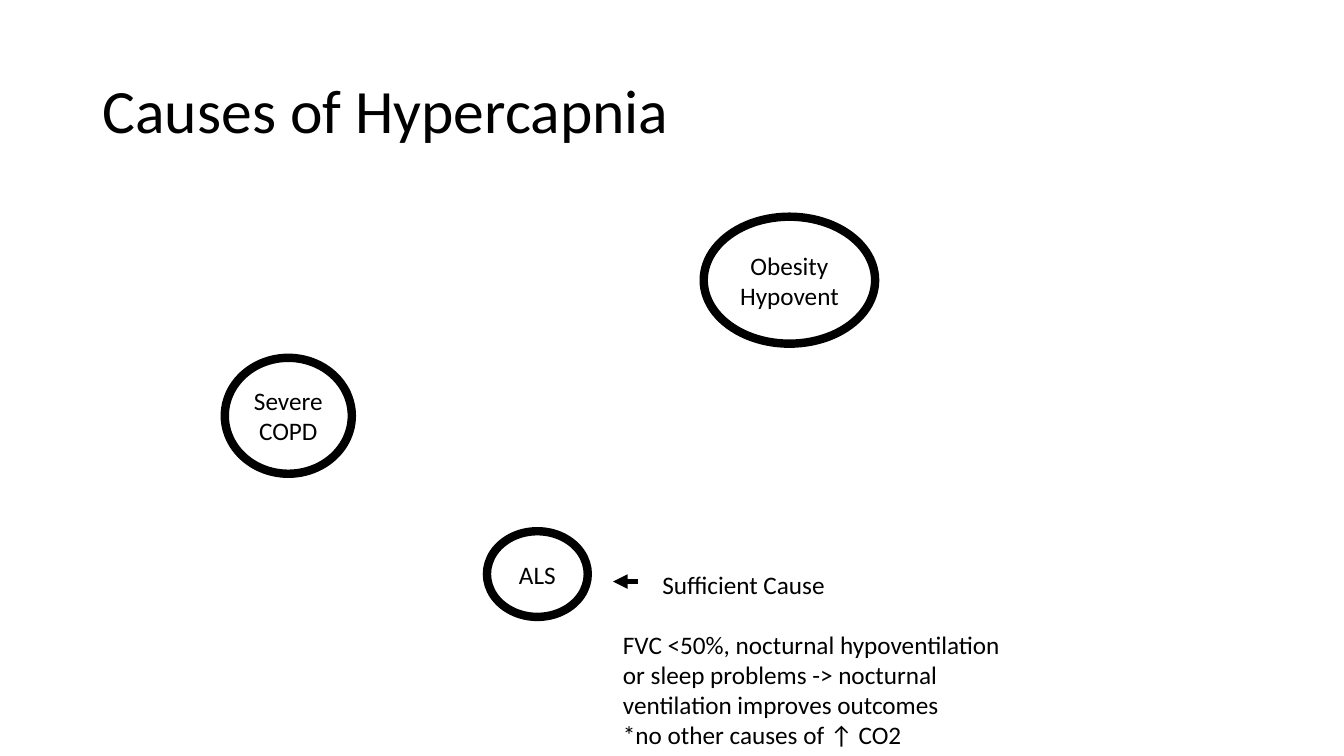
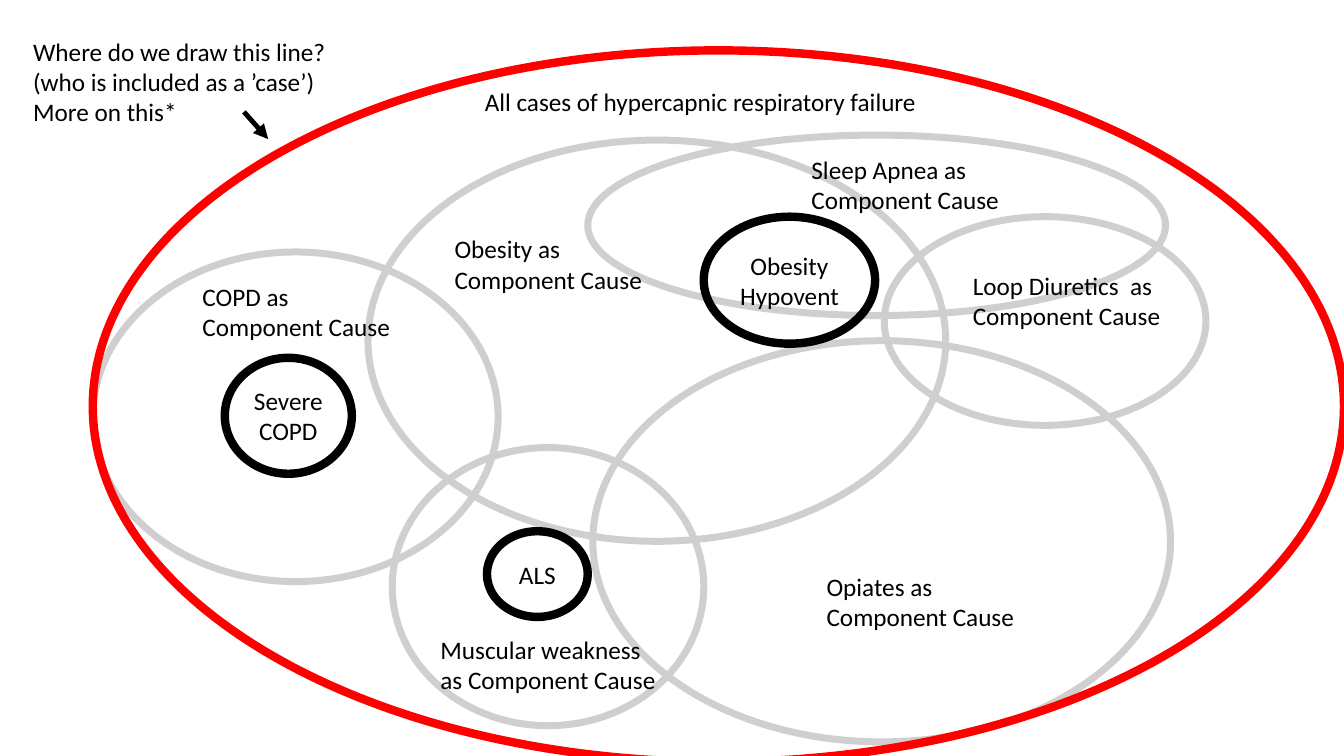
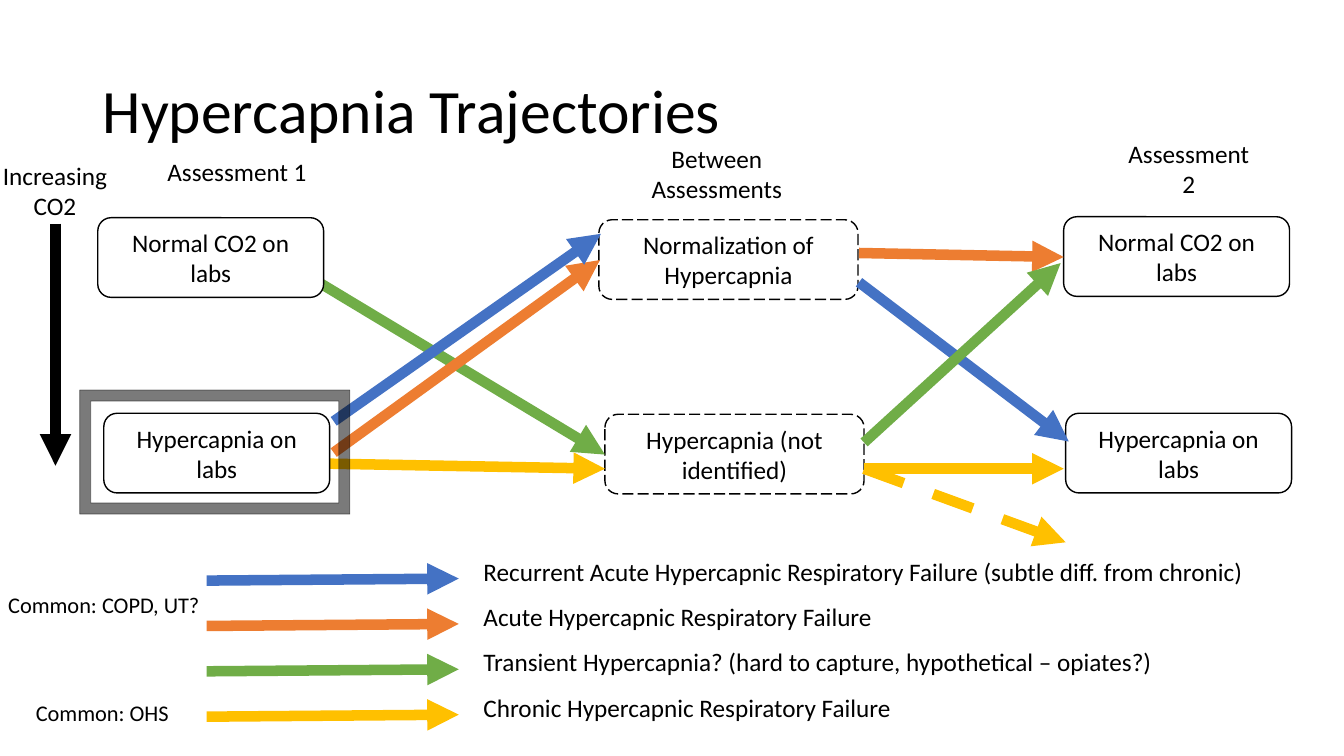
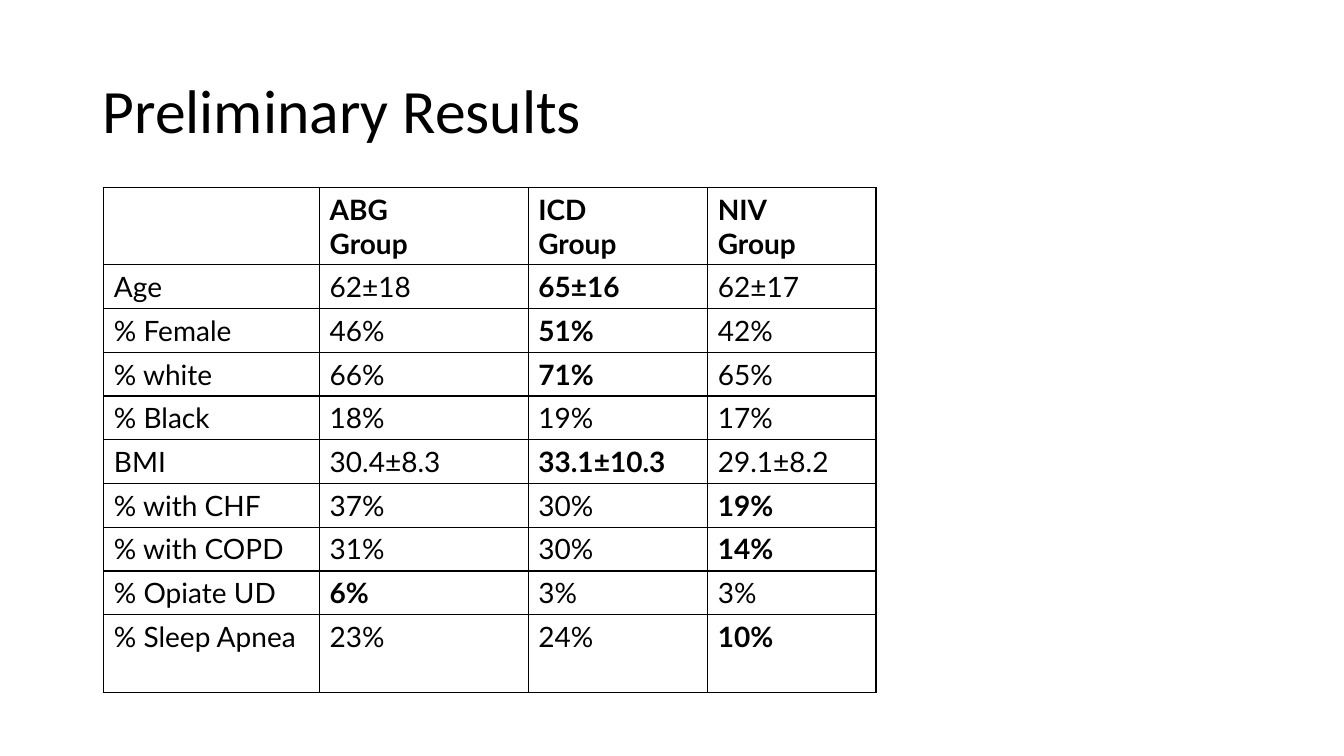
from dataclasses import dataclass

import pptx
import pptx.dml.color
import pptx.enum.dml
import pptx.enum.shapes
import pptx.enum.text
import pptx.oxml
import pptx.oxml.ns
import pptx.util
from pptx.util import Inches

SHAPE = pptx.enum.shapes.MSO_SHAPE
ALIGN = pptx.enum.text.PP_ALIGN
ANCHOR = pptx.enum.text.MSO_ANCHOR
DASH = pptx.enum.dml.MSO_LINE


@dataclass(frozen=True)
class Theme:
    ink: str = "000000"
    paper: str = "FFFFFF"
    component: str = "D0CECE"
    boundary: str = "FF0000"
    recurrent: str = "4472C4"
    acute: str = "ED7D31"
    transient: str = "70AD47"
    chronic: str = "FFC000"
    font: str = "Calibri"
    table_font: str = "Lato"
    title: int = 44
    body: int = 18
    small: int = 16
    table: int = 20
    pointer: float = 3.5
    trajectory: float = 7.5


THEME = Theme()


def rgb(color):
    return pptx.dml.color.RGBColor.from_string(color)


def write(frame, text, size=THEME.body, align=ALIGN.LEFT, spacing=None,
          font=THEME.font, bold=False):
    frame.text = text
    for paragraph in frame.paragraphs:
        paragraph.alignment = align
        if spacing:
            paragraph.line_spacing = spacing
        for run in paragraph.runs:
            run.font.name = font
            run.font.size = pptx.util.Pt(size)
            run.font.bold = bold
            run.font.color.rgb = rgb(THEME.ink)


def set_alpha(color_format_parent, percent):
    color = color_format_parent.find(".//" + pptx.oxml.ns.qn("a:srgbClr"))
    color.append(pptx.oxml.parse_xml(
        f'<a:alpha {pptx.oxml.ns.nsdecls("a")} val="{percent * 1000}"/>'))


class Region:
    """Part of a slide; everything is placed from its top left corner."""

    def __init__(self, slide, left=0, top=0):
        self.shapes, self.left, self.top = slide.shapes, left, top

    def point(self, x, y):
        return Inches(self.left + x), Inches(self.top + y)

    def shape(self, kind, box, text="", fill=None, line=None, width=1, dash=None,
              align=ALIGN.CENTER, spacing=None):
        x, y, w, h = box
        shape = self.shapes.add_shape(kind, *self.point(x, y), Inches(w), Inches(h))
        shape.shadow.inherit = False
        if fill:
            shape.fill.solid()
            shape.fill.fore_color.rgb = rgb(fill)
        else:
            shape.fill.background()
        if line:
            shape.line.color.rgb = rgb(line)
            shape.line.width = pptx.util.Pt(width)
            if dash:
                shape.line.dash_style = dash
        else:
            shape.line.fill.background()
        if text:
            shape.text_frame.vertical_anchor = ANCHOR.MIDDLE
            write(shape.text_frame, text, align=align, spacing=spacing)
        return shape

    def label(self, box, text, anchor=ANCHOR.TOP, **style):
        x, y, w, h = box
        frame = self.shapes.add_textbox(*self.point(x, y), Inches(w), Inches(h)).text_frame
        frame.word_wrap = True
        frame.vertical_anchor = anchor
        write(frame, text, **style)

    def arrow(self, start, end, color, width=THEME.trajectory, dash=None):
        arrow = self.shapes.add_connector(
            pptx.enum.shapes.MSO_CONNECTOR.STRAIGHT, *self.point(*start), *self.point(*end))
        arrow.line.color.rgb = rgb(color)
        arrow.line.width = pptx.util.Pt(width)
        if dash:
            arrow.line.dash_style = dash
        ns = pptx.oxml.ns.nsdecls("a")
        arrow.line._get_or_add_ln().append(
            pptx.oxml.parse_xml(f'<a:tailEnd {ns} type="triangle"/>'))
        arrow._element.spPr.append(pptx.oxml.parse_xml(f"<a:effectLst {ns}/>"))


def add_title(slide, text):
    Region(slide, 0.92, 0.4).label((0, 0, 11.5, 1.45), text, ANCHOR.MIDDLE,
                                   size=THEME.title, spacing=0.9)


def add_sufficient_causes(slide, left, top):
    region = Region(slide, left, top)
    for cause, box in (("Severe COPD", (0, 1.4, 1.26, 1.15)),
                       ("Obesity Hypovent", (4.75, 0, 1.7, 1.26)),
                       ("ALS", (2.6, 3.12, 1, 0.85))):
        region.shape(SHAPE.OVAL, box, cause, line=THEME.ink, width=6)


def add_als_note(slide, left, top):
    region = Region(slide, left, top)
    region.label((0.39, 0, 2.21, 0.4), "Sufficient Cause")
    region.arrow((0.25, 0.17), (0, 0.17), THEME.ink, THEME.pointer)
    region.label((0, 0.59, 4.09, 1.62),
                 "FVC <50%, nocturnal hypoventilation or sleep problems -> nocturnal "
                 "ventilation improves outcomes\n*no other causes of ↑️ CO2")


def add_component_rings(slide, left, top):
    region = Region(slide, left, top)
    for box in ((4.91, 0.84, 5.73, 1.79),   # sleep apnea
                (4.96, 2.88, 5.73, 3.98),   # opiates
                (2.73, 0.89, 5.73, 3.98),   # obesity
                (0, 2, 4.02, 3.27),         # COPD
                (2.97, 3.94, 3.09, 2.76),   # muscular weakness
                (7.85, 1.65, 3.19, 2.07)):  # loop diuretics
        region.shape(SHAPE.OVAL, box, line=THEME.component, width=5)


def add_case_boundary(slide, left, top):
    region = Region(slide, left, top)
    region.shape(SHAPE.OVAL, (0, 0, 12.41, 7.06), line=THEME.boundary, width=6)
    region.label((3.79, 0.31, 4.53, 0.4), "All cases of hypercapnic respiratory failure")
    for x, y, width, cause in ((0.99, 2.24, 2.21, "COPD as"),
                               (3.35, 5.74, 2.4, "Muscular weakness as"),
                               (3.49, 1.77, 2.4, "Obesity as"),
                               (7.18, 5.12, 2.4, "Opiates as"),
                               (8.63, 2.13, 2.4, "Loop Diuretics  as"),
                               (7.03, 0.98, 2.4, "Sleep Apnea as")):
        region.label((x, y, width, 0.71), cause + " Component Cause")


def add_boundary_question(slide, left, top):
    region = Region(slide, left, top)
    region.label((0, 0, 3.25, 1.01),
                 "Where do we draw this line? (who is included as a ’case’)\nMore on this*")
    region.arrow((2.19, 0.8), (2.43, 1.07), THEME.ink, THEME.pointer)


def add_legend(slide, left, top):
    region = Region(slide, left, top)
    entries = (
        (THEME.recurrent,
         "Recurrent Acute Hypercapnic Respiratory Failure (subtle diff. from chronic)"),
        (THEME.acute, "Acute Hypercapnic Respiratory Failure"),
        (THEME.transient, "Transient Hypercapnia? (hard to capture, hypothetical – opiates?)"),
        (THEME.chronic, "Chronic Hypercapnic Respiratory Failure"))
    for row, (color, _) in enumerate(entries):
        y = 0.59 + 0.45 * row
        region.arrow((0.05, y), (2.55, y - 0.02), color)
    region.shape(SHAPE.ROUNDED_RECTANGLE, (2.59, 0, 8.22, 2.19),
                 "\n".join(text for _, text in entries), fill=THEME.paper,
                 align=ALIGN.LEFT, spacing=1.5)
    for box, text in (((-2.31, 0.65, 2.68, 0.37), "Common: COPD, UT?"),
                      ((-2, 1.72, 2.03, 0.37), "Common: OHS")):
        region.label(box, text, size=THEME.small, align=ALIGN.CENTER)


def add_trajectories(slide, left, top):
    region = Region(slide, left, top)

    def state(x, y, text, width=2.24, dash=None):
        region.shape(SHAPE.ROUNDED_RECTANGLE, (x, y, width, 0.79), text,
                     fill=THEME.paper, line=THEME.ink, dash=dash)

    # States between and at the second assessment
    state(5.5, 2.11, "Hypercapnia (not identified)", 2.57, DASH.LONG_DASH)
    state(5.44, 0.18, "Normalization of Hypercapnia", 2.57, DASH.LONG_DASH)
    state(10.05, 0.15, "Normal CO2 on labs")
    state(10.07, 2.1, "Hypercapnia on labs")

    # Paths between the states
    for color, start, end in (
            (THEME.transient, (2.66, 0.8), (5.5, 2.51)),
            (THEME.acute, (2.81, 2.49), (5.45, 0.58)),
            (THEME.chronic, (2.77, 2.6), (5.5, 2.65)),
            (THEME.acute, (8.02, 0.51), (10.05, 0.55)),
            (THEME.recurrent, (2.81, 2.18), (5.46, 0.32)),
            (THEME.recurrent, (8.02, 0.8), (10.1, 2.38)),
            (THEME.chronic, (8.07, 2.65), (10.05, 2.65)),
            (THEME.transient, (8.07, 2.39), (10.02, 0.61))):
        region.arrow(start, end, color)
    region.arrow((8.07, 2.65), (10.07, 3.38), THEME.chronic, dash=DASH.DASH)

    # States at the first assessment, with the starting group framed
    state(0.53, 2.1, "Hypercapnia on labs")
    state(0.47, 0.16, "Normal CO2 on labs")
    highlight = region.shape(SHAPE.FRAME, (0.29, 1.87, 2.68, 1.23),
                             fill=THEME.ink, line=THEME.ink, width=0.5)
    highlight.adjustments[0] = 0.089
    properties = highlight._element.spPr
    set_alpha(properties.find(pptx.oxml.ns.qn("a:solidFill")), 52)
    set_alpha(properties.find(pptx.oxml.ns.qn("a:ln")), 50)

    # CO2 axis and column headings
    region.arrow((0.05, 0.22), (0.05, 2.62), THEME.ink)
    for box, text in (((-0.58, -0.46, 1.25, 0.71), "Increasing CO2"),
                      ((1.04, -0.5, 1.62, 0.4), "Assessment 1"),
                      ((5.86, -0.63, 1.5, 0.71), "Between Assessments"),
                      ((10.54, -0.68, 1.5, 0.71), "Assessment 2")):
        region.label(box, text, align=ALIGN.CENTER)


RESULTS = (
    ("", "ABG\nGroup", "ICD\nGroup", "NIV\nGroup"),
    ("Age", "62±18", "65±16", "62±17"),
    ("% Female", "46%", "51%", "42%"),
    ("% white", "66%", "71%", "65%"),
    ("% Black", "18%", "19%", "17%"),
    ("BMI", "30.4±8.3", "33.1±10.3", "29.1±8.2"),
    ("% with CHF", "37%", "30%", "19%"),
    ("% with COPD", "31%", "30%", "14%"),
    ("% Opiate UD", "6%", "3%", "3%"),
    ("% Sleep Apnea", "23%", "24%", "10%"),
)
# Column of the bold value in each row
STANDOUT = {1: 2, 2: 2, 3: 2, 5: 2, 6: 3, 7: 3, 8: 1, 9: 3}


def add_borders(cell):
    properties = cell._tc.get_or_add_tcPr()
    for side in "LRTB":
        properties.append(pptx.oxml.parse_xml(
            f'<a:ln{side} {pptx.oxml.ns.nsdecls("a")} w="12700"><a:solidFill>'
            f'<a:srgbClr val="{THEME.ink}"/></a:solidFill></a:ln{side}>'))


def add_results(slide, left, top):
    widths = (2.14, 2.07, 1.78, 1.67)
    heights = (0.71, *[0.4] * 8, 0.77)
    table = slide.shapes.add_table(
        len(heights), len(widths), Inches(left), Inches(top),
        Inches(sum(widths)), Inches(sum(heights))).table
    table.first_row = table.horz_banding = False
    for column, width in zip(table.columns, widths):
        column.width = Inches(width)
    for r, (values, height) in enumerate(zip(RESULTS, heights)):
        table.rows[r].height = Inches(height)
        for c, value in enumerate(values):
            cell = table.cell(r, c)
            add_borders(cell)
            cell.fill.background()
            write(cell.text_frame, value, THEME.table, font=THEME.table_font,
                  bold=r == 0 or STANDOUT.get(r) == c)


def main():
    deck = pptx.Presentation()
    deck.slide_width, deck.slide_height = Inches(13.33), Inches(7.5)
    causes, overlap, trajectories, results = (
        deck.slides.add_slide(deck.slide_layouts[6]) for _ in range(4))

    add_title(causes, "Causes of Hypercapnia")
    add_sufficient_causes(causes, 2.23, 2.15)
    add_als_note(causes, 6.08, 5.6)

    add_component_rings(overlap, 0.92, 0.5)
    add_sufficient_causes(overlap, 2.23, 2.15)
    add_case_boundary(overlap, 0.92, 0.5)
    add_boundary_question(overlap, 0.23, 0.31)

    add_legend(trajectories, 2, 5.17)
    add_title(trajectories, "Hypercapnia Trajectories")
    add_trajectories(trajectories, 0.5, 2)

    add_title(results, "Preliminary Results")
    add_results(results, 1.03, 1.86)

    deck.save("out.pptx")


if __name__ == "__main__":
    main()
